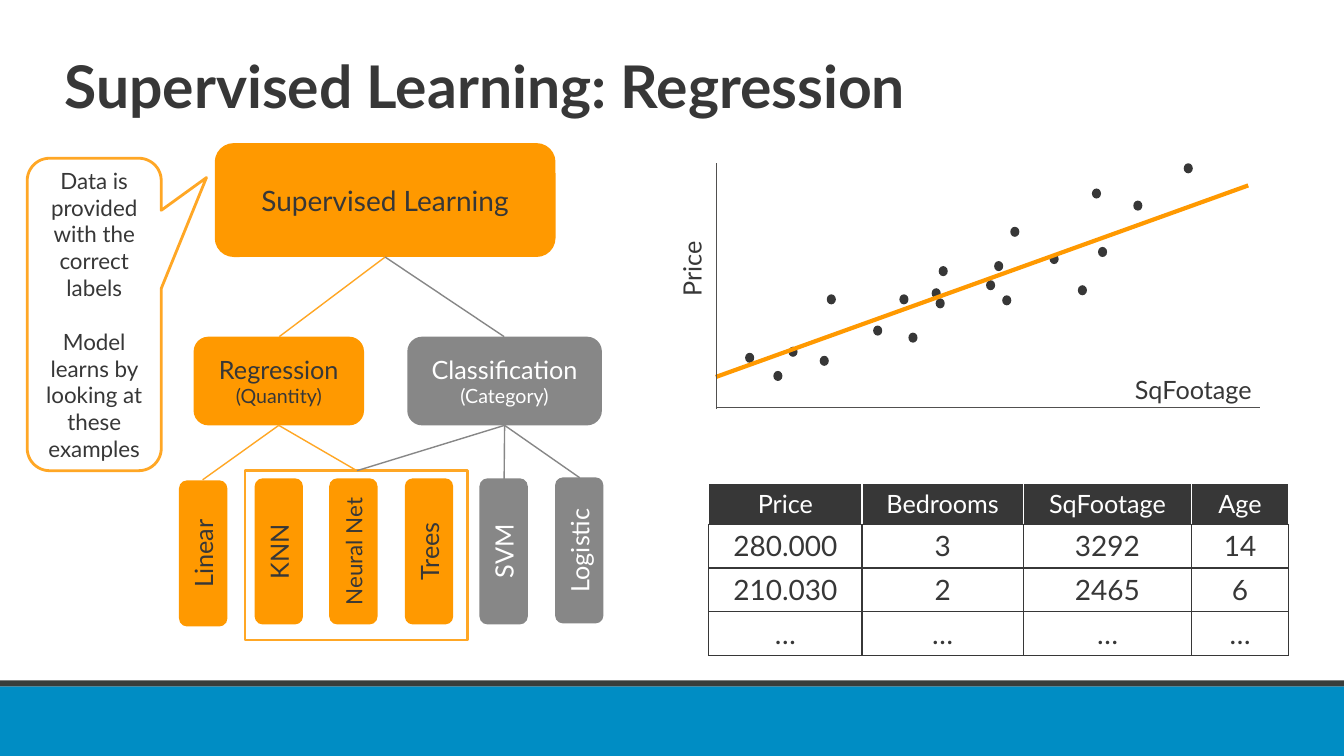
from dataclasses import dataclass

from lxml import etree
from pptx import Presentation
from pptx.dml.color import RGBColor
from pptx.enum.shapes import MSO_CONNECTOR, MSO_SHAPE
from pptx.enum.text import MSO_ANCHOR, PP_ALIGN
from pptx.oxml.ns import qn
from pptx.util import Pt

RECT = MSO_SHAPE.RECTANGLE
ROUND = MSO_SHAPE.ROUNDED_RECTANGLE
DOT = MSO_SHAPE.FLOWCHART_CONNECTOR
CALLOUT = MSO_SHAPE.ROUNDED_RECTANGULAR_CALLOUT
STRAIGHT = MSO_CONNECTOR.STRAIGHT
LEFT, CENTER = PP_ALIGN.LEFT, PP_ALIGN.CENTER
TOP, MIDDLE = MSO_ANCHOR.TOP, MSO_ANCHOR.MIDDLE

PX = 9144
FONT = "Lato"
DARK, WHITE, ORANGE, AMBER, GREY = "373737", "FFFFFF", "FF9900", "FFA725", "878787"
BLUE, BAND, AXIS = "008DC4", "383D3B", "51504F"

DOTS = [(739, 350), (767, 368), (782, 344), (813, 353), (820, 292), (866, 323), (901, 330),
        (892, 292), (931, 264), (924, 286), (928, 296), (994, 293), (986, 259), (978, 278),
        (1002, 225), (1041, 252), (1089, 245), (1069, 283), (1083, 187), (1124, 199), (1174, 162)]
HOUSES = [("Price", "Bedrooms", "SqFootage", "Age"),
          ("280.000", "3", "3292", "14"),
          ("210.030", "2", "2465", "6"),
          ("…", "…", "…", "…")]
COLUMNS, ROWS = (152, 160, 167, 96), (39, 43, 43, 43)


@dataclass
class Run:
    """A line of text with its size in points."""
    text: str
    size: int
    color: str = DARK
    bold: bool = False


@dataclass
class Box:
    """A preset shape, measured in px, with paragraphs of runs."""
    left: int
    top: int
    width: int
    height: int
    shape: MSO_SHAPE = ROUND
    fill: str = ""
    line: str = ""
    text: tuple = ()
    rotation: int = 0


@dataclass
class Link:
    """A straight line joining two shapes at their sides."""
    start: str
    start_side: int
    end: str
    end_side: int
    end_at: tuple
    color: str


def rgb(color: str) -> RGBColor:
    """Turn a hex string into a colour."""
    return RGBColor.from_string(color)


def write(tf, paragraphs, align=CENTER, gap: int = 0) -> None:
    """Fill a text frame, breaking the line between the runs of a paragraph."""
    for i, runs in enumerate(paragraphs):
        p = tf.add_paragraph() if i else tf.paragraphs[0]
        p.alignment = align
        if i:
            p.space_before = Pt(gap)
        for j, run in enumerate(runs):
            if j:
                p.add_line_break()
            r = p.add_run()
            r.text = run.text
            r.font.name, r.font.size, r.font.bold = FONT, Pt(run.size), run.bold
            r.font.color.rgb = rgb(run.color)


def add_box(s, box: Box):
    """Draw a preset shape."""
    sp = s.shapes.add_shape(box.shape, box.left * PX, box.top * PX, box.width * PX, box.height * PX)
    sp.shadow.inherit = False
    sp.rotation = box.rotation
    if box.fill:
        sp.fill.solid()
        sp.fill.fore_color.rgb = rgb(box.fill)
    else:
        sp.fill.background()
    if box.line:
        sp.line.color.rgb = rgb(box.line)
        sp.line.width = Pt(2)
    else:
        sp.line.fill.background()
    sp.text_frame.vertical_anchor = MIDDLE
    write(sp.text_frame, box.text, gap=19)
    return sp


def add_line(s, x1: int, y1: int, x2: int, y2: int, color: str, width: float):
    """Draw a straight line between two points in px."""
    line = s.shapes.add_connector(STRAIGHT, x1 * PX, y1 * PX, x2 * PX, y2 * PX)
    line.line.color.rgb = rgb(color)
    line.line.width = Pt(width)
    etree.SubElement(line._element.spPr, qn("a:effectLst"))
    return line


def add_link(s, nodes: dict, link: Link) -> None:
    """Join two nodes, placing the end where a turned node shows its side."""
    line = add_line(s, *link.end_at, *link.end_at, link.color, 1)
    line.begin_connect(nodes[link.start], link.start_side)
    line.end_connect(nodes[link.end], link.end_side)
    line.end_x, line.end_y = (v * PX for v in link.end_at)


def add_label(s, left: int, top: int, width: int, height: int, run: Run,
              align=CENTER, wrap: bool = False, rotation: int = 0) -> None:
    """Draw a text box."""
    sp = s.shapes.add_textbox(left * PX, top * PX, width * PX, height * PX)
    sp.rotation = rotation
    sp.text_frame.word_wrap = wrap
    write(sp.text_frame, [(run,)], align)


def add_border(cell, side: str, color: str) -> None:
    """Draw one border of a table cell."""
    ln = etree.SubElement(cell._tc.get_or_add_tcPr(), qn(f"a:ln{side}"), w=str(Pt(1)))
    fill = etree.SubElement(ln, qn("a:solidFill"))
    etree.SubElement(fill, qn("a:srgbClr"), val=color)


def add_houses(s) -> None:
    """Draw the table of house data."""
    table = s.shapes.add_table(len(ROWS), len(COLUMNS), 703 * PX, 480 * PX,
                               sum(COLUMNS) * PX, sum(ROWS) * PX).table
    table.horz_banding = False
    for column, width in zip(table.columns, COLUMNS):
        column.width = width * PX
    for i, (row, height) in enumerate(zip(table.rows, ROWS)):
        row.height = height * PX
        header = i == 0
        for cell, value in zip(row.cells, HOUSES[i]):
            for side in "LRTB":
                add_border(cell, side, WHITE if header and side != "B" else DARK)
            if header:
                cell.fill.solid()
                cell.fill.fore_color.rgb = rgb(DARK)
            else:
                cell.fill.background()
            cell.vertical_anchor = MIDDLE if header else TOP
            run = Run(value, 18, WHITE) if header else Run(value, 20)
            write(cell.text_frame, [(run,)])


def add_tree(s) -> None:
    """Draw the tree of learning methods and the callout beside it."""
    boxes = {
        "root": Box(213, 142, 338, 113, fill=ORANGE, text=((Run("Supervised Learning", 20),),)),
        "regression": Box(192, 334, 169, 88, fill=ORANGE,
                          text=((Run("Regression", 18), Run("(Quantity)", 14)),)),
        "classification": Box(404, 334, 193, 88, fill=GREY,
                              text=((Run("Classification", 18, WHITE), Run("(Category)", 14, WHITE)),)),
        "shared": Box(243, 467, 221, 168, RECT, line=AMBER),
        "callout": Box(27, 157, 133, 310, CALLOUT, WHITE, AMBER,
                       ((Run("Data is provided with the correct labels", 16),),
                        (Run("Model learns by looking at these examples", 16),))),
    }
    leaves = [("Linear", 525, 18), ("KNN", 523, 18), ("Neural Net", 523, 16),
              ("Trees", 523, 18), ("SVM", 523, 18), ("Logistic", 522, 18)]
    for i, (name, top, size) in enumerate(leaves):
        fill, color = (ORANGE, DARK) if i < 4 else (GREY, WHITE)
        boxes[name] = Box(129 + round(74.6 * i), top, 145, 48, fill=fill,
                          text=((Run(name, size, color),),), rotation=270)
    nodes = {name: add_box(s, box) for name, box in boxes.items()}
    for i, value in enumerate((0.837, -0.438, 0.167)):
        nodes["callout"].adjustments[i] = value
    for link in (Link("root", 2, "regression", 0, (277, 334), AMBER),
                 Link("root", 2, "classification", 0, (500, 334), GREY),
                 Link("regression", 2, "Linear", 3, (201, 476), AMBER),
                 Link("regression", 2, "shared", 0, (354, 467), AMBER),
                 Link("classification", 2, "shared", 0, (354, 467), GREY),
                 Link("classification", 2, "SVM", 3, (500, 475), GREY),
                 Link("classification", 2, "Logistic", 3, (575, 474), GREY)):
        add_link(s, nodes, link)


def add_scatter(s) -> None:
    """Draw the price plot with its fitted line."""
    for left, top in DOTS:
        add_box(s, Box(left, top, 9, 10, DOT, DARK))
    add_line(s, 710, 374, 1238, 184, ORANGE, 3)
    add_line(s, 710, 406, 710, 162, AXIS, 0.5)
    add_line(s, 710, 404, 1250, 404, AXIS, 0.5)
    add_label(s, 1112, 366, 143, 40, Run("SqFootage", 18))
    add_label(s, 648, 247, 76, 40, Run("Price", 18), rotation=270)


def main() -> None:
    """Build the slide and save it."""
    prs = Presentation()
    prs.slide_width, prs.slide_height = 1333 * PX, 750 * PX
    s = prs.slides.add_slide(prs.slide_layouts[6])
    add_box(s, Box(0, 681, 1333, 69, RECT, BLUE))
    add_box(s, Box(0, 675, 1333, 6, RECT, BAND))
    add_label(s, 54, 52, 1150, 109, Run("Supervised Learning: Regression", 42, bold=True), LEFT, True)
    s.shapes[-1].text_frame.paragraphs[0].line_spacing = 0.9
    add_scatter(s)
    add_tree(s)
    add_houses(s)
    prs.save("out.pptx")


if __name__ == "__main__":
    main()
